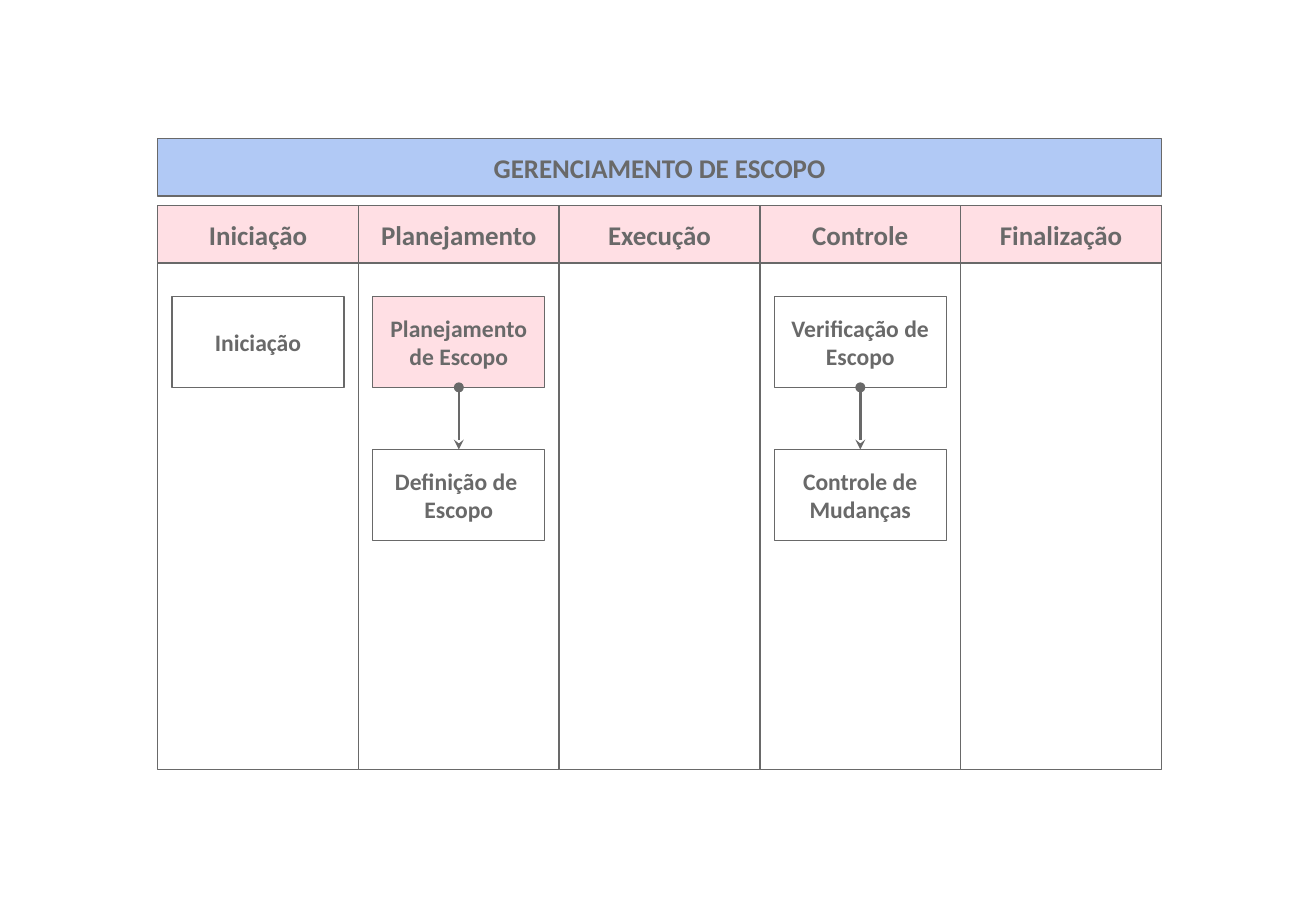
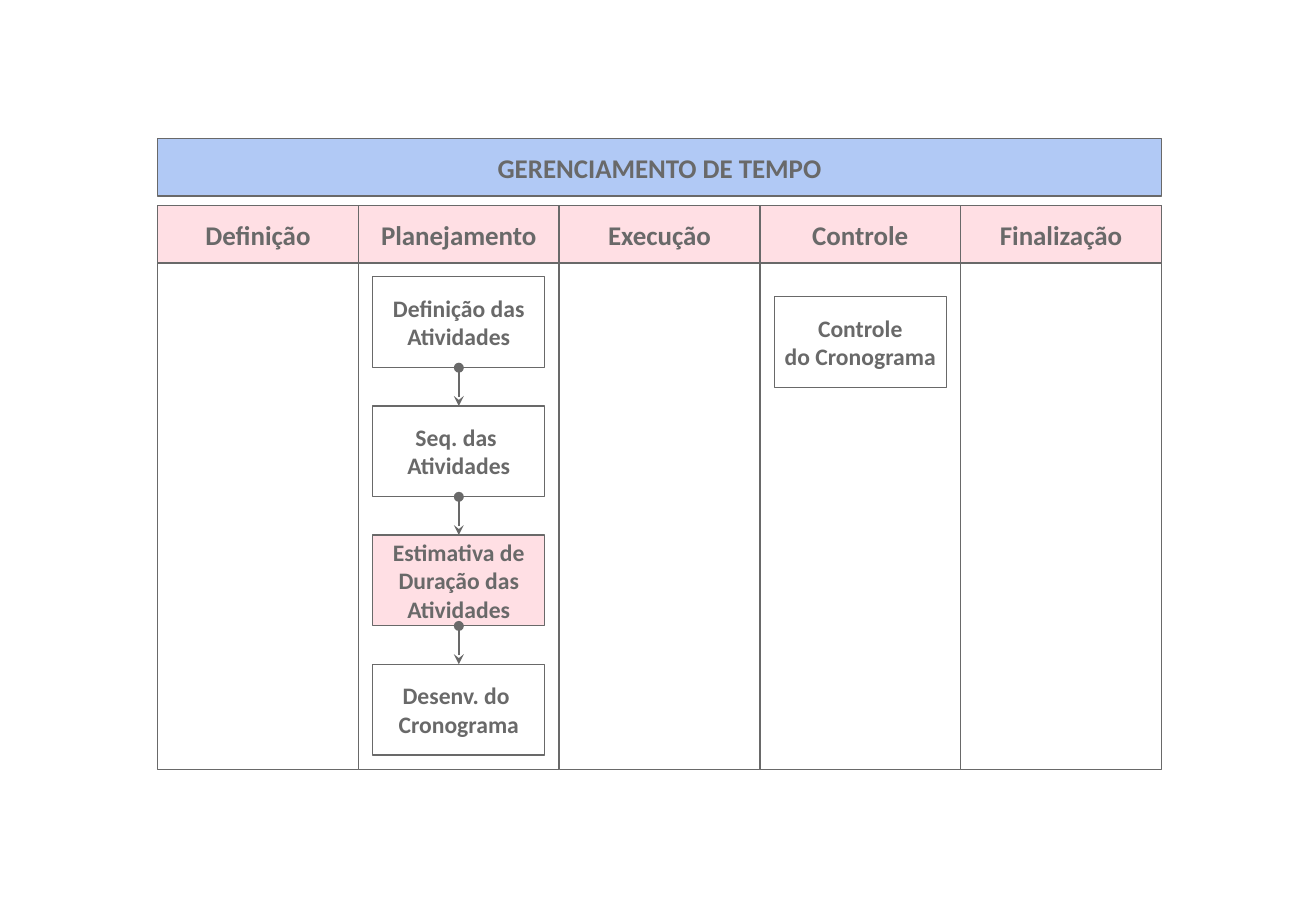
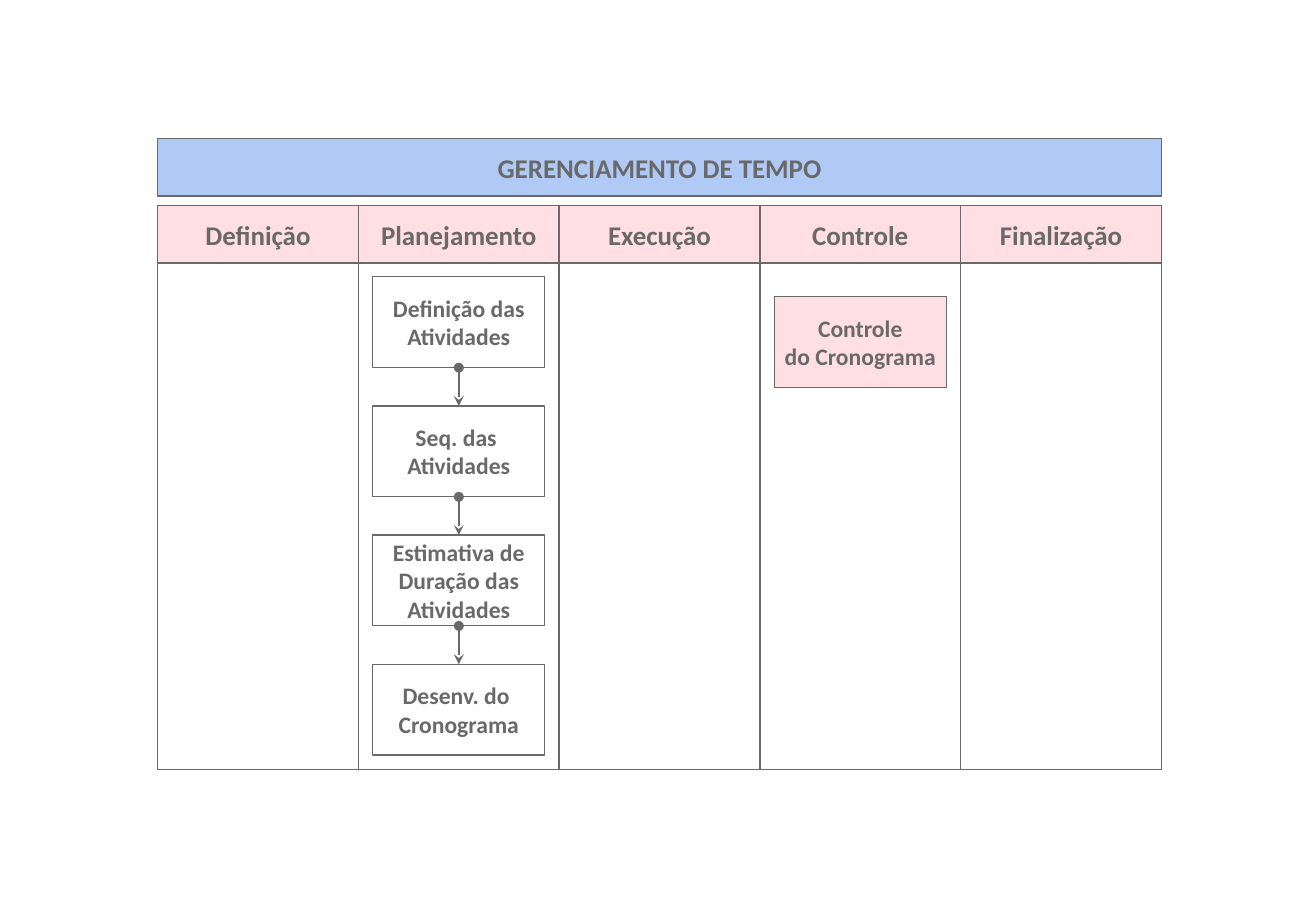
from lxml import etree
from pptx import Presentation
from pptx import util as u
from pptx.dml.color import RGBColor
from pptx.enum import shapes, text
from pptx.oxml import ns

WHITE = RGBColor(0xFF, 0xFF, 0xFF)
GRAY = RGBColor(0x69, 0x69, 0x69)
PINK = RGBColor(0xFF, 0xC0, 0xCB)
BLUE = RGBColor(0x64, 0x95, 0xED)

FONT = "Calibri"
HEADING_SIZE, STEP_SIZE = 16, 14
CHART_LEFT, TITLE_TOP, COLUMN_TOP = 93.54, 82.2, 121.89
COLUMN_WIDTH, COLUMN_HEIGHT, BAND_HEIGHT = 119.06, 334.49, 34.02
STEP_WIDTH, STEP_HEIGHT = 102.05, 53.86
STEP_INSET = (COLUMN_WIDTH - STEP_WIDTH) / 2
WIDE_TOP, WIDE_PITCH = 175.75, 90.71
TIGHT_TOP, TIGHT_PITCH = 164.1, 76.54

PHASES = ["Planejamento", "Execução", "Controle", "Finalização"]
TIME_STEPS = ["Definição das\nAtividades", "Seq. das \nAtividades",
              "Estimativa de\vDuração das\vAtividades", "Desenv. do \vCronograma"]
SCHEDULE_CONTROL = "Controle\vdo Cronograma"


class ProcessDeck:
    def __init__(self):
        self.deck = Presentation()
        self.deck.slide_width, self.deck.slide_height = u.Pt(780.48), u.Pt(540)
        self.page = None

    def box(self, left, top, width, height, color=WHITE, caption="", size=STEP_SIZE):
        box = self.page.shapes.add_shape(
            shapes.MSO_SHAPE.RECTANGLE, u.Pt(left), u.Pt(top), u.Pt(width), u.Pt(height))
        box.shadow.inherit = False
        box.fill.solid()
        box.fill.fore_color.rgb = color
        if color != WHITE:
            tint = box.element.spPr.find(".//" + ns.qn("a:srgbClr"))
            etree.SubElement(tint, ns.qn("a:alpha"), val="50000")
        box.line.color.rgb = GRAY
        box.line.width = u.Pt(0)
        if caption:
            frame = box.text_frame
            frame.text = caption
            frame.word_wrap = False
            frame.vertical_anchor = text.MSO_ANCHOR.MIDDLE
            for para in frame.paragraphs:
                para.alignment = text.PP_ALIGN.CENTER
                para.font.name = FONT
                para.font.size = u.Pt(size)
                para.font.bold = True
                para.font.color.rgb = GRAY
        return box

    def arrow(self, upper, lower):
        arrow = self.page.shapes.add_connector(shapes.MSO_CONNECTOR.STRAIGHT, 0, 0, 0, 0)
        arrow.begin_connect(upper, 2)
        arrow.end_connect(lower, 0)
        arrow.line.color.rgb = GRAY
        arrow.line.width = u.Pt(1.42)
        outline = arrow.line._get_or_add_ln()
        etree.SubElement(outline, ns.qn("a:headEnd"), type="oval")
        etree.SubElement(outline, ns.qn("a:tailEnd"), type="stealth")
        etree.SubElement(arrow.element.spPr, ns.qn("a:effectLst"))

    def chart_page(self, title, first_phase):
        self.page = self.deck.slides.add_slide(self.deck.slide_layouts[6])
        phases = [first_phase] + PHASES
        for column, phase in enumerate(phases):
            left = CHART_LEFT + column * COLUMN_WIDTH
            self.box(left, COLUMN_TOP, COLUMN_WIDTH, COLUMN_HEIGHT)
            self.box(left, COLUMN_TOP, COLUMN_WIDTH, BAND_HEIGHT, PINK, phase, HEADING_SIZE)
        self.box(CHART_LEFT, TITLE_TOP, len(phases) * COLUMN_WIDTH, BAND_HEIGHT,
                 BLUE, title, HEADING_SIZE)

    def steps(self, column, captions, top=WIDE_TOP, pitch=WIDE_PITCH, highlight=None):
        left = CHART_LEFT + column * COLUMN_WIDTH + STEP_INSET
        boxes = [self.box(left, top + row * pitch, STEP_WIDTH, STEP_HEIGHT,
                          PINK if row == highlight else WHITE, caption)
                 for row, caption in enumerate(captions)]
        for upper, lower in zip(boxes, boxes[1:]):
            self.arrow(upper, lower)

    def time_page(self, planning_highlight=None, control_highlight=None):
        self.chart_page("GERENCIAMENTO DE TEMPO", "Definição")
        self.steps(1, TIME_STEPS, TIGHT_TOP, TIGHT_PITCH, planning_highlight)
        self.steps(3, [SCHEDULE_CONTROL], highlight=control_highlight)


def main():
    process = ProcessDeck()
    process.chart_page("GERENCIAMENTO DE ESCOPO", "Iniciação")
    process.steps(0, ["Iniciação"])
    process.steps(1, ["Planejamento\nde Escopo", "Definição de \nEscopo"], highlight=0)
    process.steps(3, ["Verificação de\nEscopo", "Controle de\nMudanças"])
    process.time_page(planning_highlight=2)
    process.time_page(control_highlight=0)
    process.deck.save("out.pptx")


if __name__ == "__main__":
    main()
